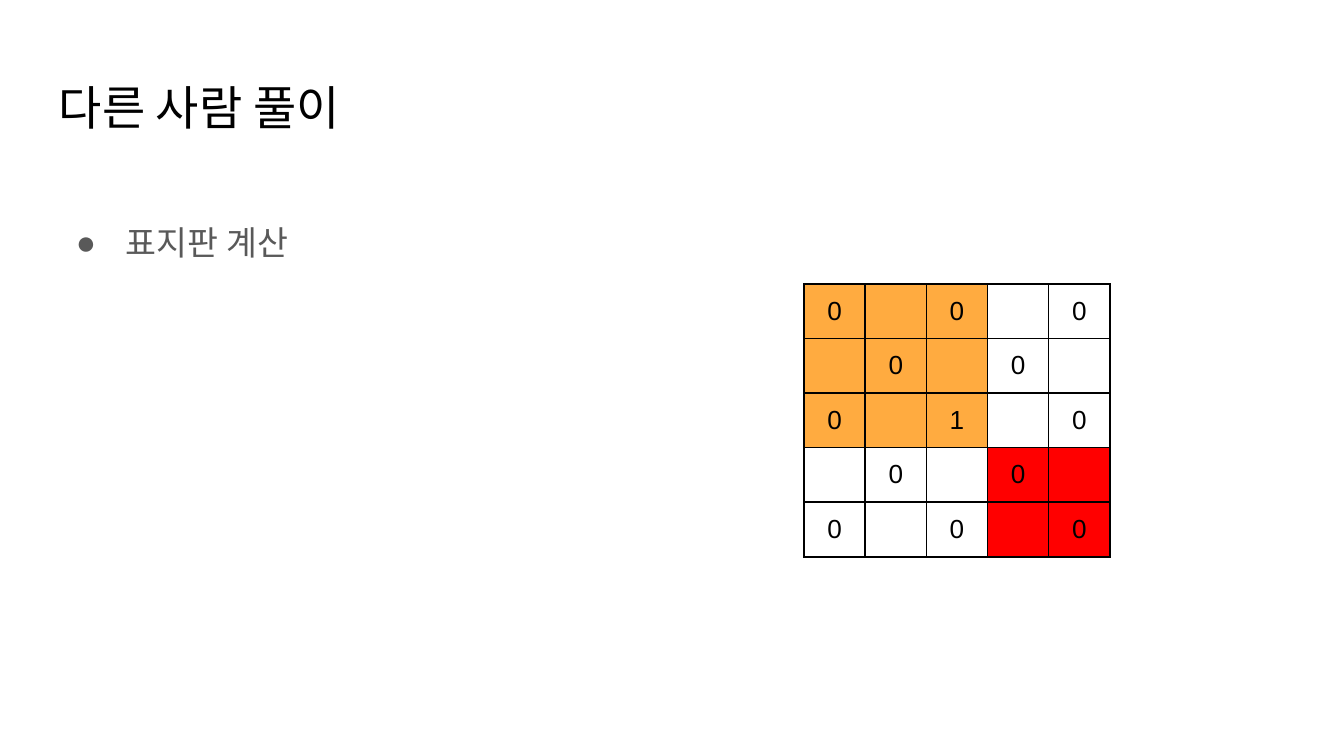
from typing import NamedTuple

from pptx import Presentation
from pptx.dml.color import RGBColor
from pptx.enum.text import MSO_ANCHOR as ANCHOR, PP_ALIGN as ALIGN
from pptx.oxml import parse_xml
from pptx.oxml.ns import nsdecls
from pptx.util import Emu, Pt

PX_PER_INCH = 134.4
FONT = "Arial"
BLACK = RGBColor(0x00, 0x00, 0x00)
GRAY = RGBColor(0x59, 0x59, 0x59)
WHITE = RGBColor(0xFF, 0xFF, 0xFF)
ORANGE = RGBColor(0xFF, 0xAB, 0x40)
RED = RGBColor(0xFF, 0x00, 0x00)


class Box(NamedTuple):
    left: int
    top: int
    width: int
    height: int


class Label(NamedTuple):
    text: str
    box: Box
    size: float
    color: RGBColor


TITLE = Label("다른 사람 풀이", Box(46, 66, 1253, 85), 25.2, BLACK)
BODY = Label("표지판 계산", Box(46, 169, 1253, 503), 18, GRAY)
GRID_BOX = Box(804, 284, 306, 273)
GRID = ["0 | |0| |0", " |0| |0| ", "0| |1| |0", " |0| |0| ", "0| |0| |0"]


def px(n: float) -> Emu:
    return Emu(round(n * 914400 / PX_PER_INCH))


def style(font, size: float, color: RGBColor) -> None:
    for name, value in {"name": FONT, "size": Pt(size)}.items():
        setattr(font, name, value)
    font.color.rgb = color


def add_label(s, label: Label):
    tf = s.shapes.add_textbox(*map(px, label.box)).text_frame
    margins = dict.fromkeys(("left", "top", "right", "bottom"), px(13))
    for side, value in margins.items():
        setattr(tf, f"margin_{side}", value)
    tf.word_wrap = True
    tf.vertical_anchor = ANCHOR.TOP
    r = tf.paragraphs[0].add_run()
    r.text = label.text
    style(r.font, label.size, label.color)
    return tf


def add_bullet(p, color: RGBColor) -> None:
    pPr = p._p.get_or_add_pPr()
    pPr.set("marL", str(px(67)))
    pPr.set("indent", str(-px(50)))
    for xml in (
        f'<a:buClr {nsdecls("a")}><a:srgbClr val="{color}"/></a:buClr>',
        f'<a:buFont {nsdecls("a")} typeface="{FONT}"/>',
        f'<a:buChar {nsdecls("a")} char="●"/>',
    ):
        pPr.append(parse_xml(xml))


def add_borders(cell) -> None:
    tcPr = cell._tc.get_or_add_tcPr()
    for i, side in enumerate("LRTB"):
        tcPr.insert(i, parse_xml(
            f'<a:ln{side} {nsdecls("a")} w="{Pt(1)}"><a:solidFill>'
            f'<a:srgbClr val="{BLACK}"/></a:solidFill></a:ln{side}>'))


def cell_color(row: int, col: int) -> RGBColor:
    if row < 3 and col < 3:
        return ORANGE
    return RED if row >= 3 and col >= 3 else WHITE


def add_grid(s, box: Box, rows: list[str]) -> None:
    n = len(rows)
    table = s.shapes.add_table(n, n, *map(px, box)).table
    for i in range(n):
        table.columns[i].width = px(box.width / n)
        table.rows[i].height = px(box.height / n)
    for i, row in enumerate(rows):
        for j, value in enumerate(row.split("|")):
            cell = table.cell(i, j)
            cell.vertical_anchor = ANCHOR.MIDDLE
            cell.fill.solid()
            cell.fill.fore_color.rgb = cell_color(i, j)
            add_borders(cell)
            if value.strip():
                p = cell.text_frame.paragraphs[0]
                p.alignment = ALIGN.CENTER
                r = p.add_run()
                r.text = value.strip()
                style(r.font, 14, BLACK)


def main() -> None:
    prs = Presentation()
    prs.slide_width, prs.slide_height = px(1344), px(756)
    s = prs.slides.add_slide(prs.slide_layouts[6])

    # Title
    add_label(s, TITLE)

    # Two-column body with one bullet
    tf = add_label(s, BODY)
    tf._txBody.bodyPr.set("numCol", "2")
    p = tf.paragraphs[0]
    p.line_spacing = 2.0
    add_bullet(p, GRAY)

    # Sign grid
    add_grid(s, GRID_BOX, GRID)

    prs.save("out.pptx")


if __name__ == "__main__":
    main()
